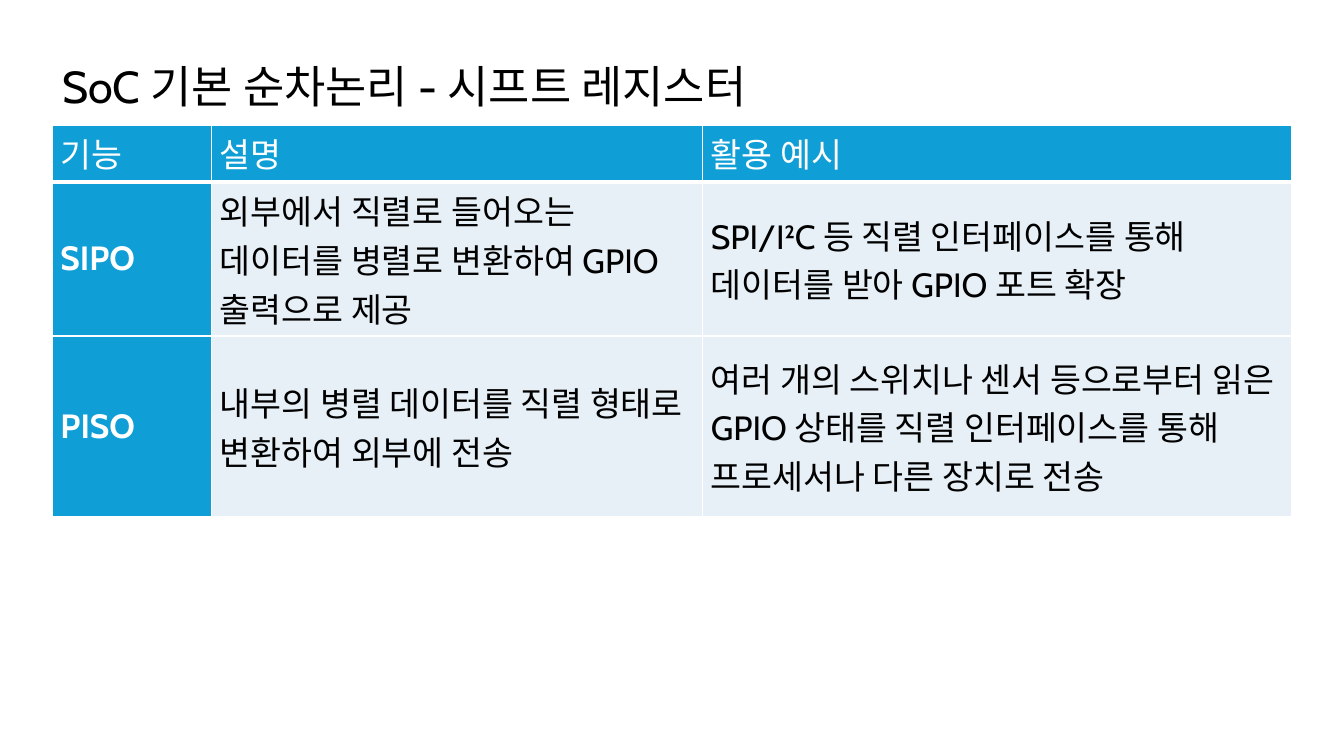
from lxml.etree import SubElement
from pptx import Presentation
from pptx.dml.color import RGBColor
from pptx.enum.text import MSO_ANCHOR, PP_ALIGN
from pptx.oxml.ns import qn
from pptx.util import Inches, Pt

TITLE = "SoC 기본 순차논리 - 시프트 레지스터"
ROWS = [
    ("기능", "설명", "활용 예시"),
    ("SIPO", "외부에서 직렬로 들어오는 데이터를 병렬로 변환하여 GPIO 출력으로 제공",
     "SPI/I²C 등 직렬 인터페이스를 통해 데이터를 받아 GPIO 포트 확장"),
    ("PISO", "내부의 병렬 데이터를 직렬 형태로 변환하여 외부에 전송",
     "여러 개의 스위치나 센서 등으로부터 읽은 GPIO 상태를 직렬 인터페이스를 통해 "
     "프로세서나 다른 장치로 전송"),
]
COLUMN_WIDTHS = (1.58, 4.87, 5.84)
ROW_HEIGHTS = (0.44, 1.48, 1.79)
LEFT, WIDTH = 0.52, 12.28
TITLE_TOP, TITLE_HEIGHT = 0.52, 0.72

FONT = "Cabin"
BLACK = RGBColor(0x00, 0x00, 0x00)
WHITE = RGBColor(0xFF, 0xFF, 0xFF)
BLUE = RGBColor(0x0F, 0x9E, 0xD5)
PALE_BLUE = RGBColor(0xE7, 0xF0, 0xF7)


def style_text(para, size, color, bold=False):
    for span in para.runs:
        span.font.name = FONT
        span.font.size = Pt(size)
        span.font.bold = bold
        span.font.color.rgb = color


def add_borders(cell, widths):
    """Give the cell white borders; widths maps a side (L, R, T, B) to points."""
    properties = cell._tc.get_or_add_tcPr()
    for position, (side, width) in enumerate(widths.items()):
        line = properties.makeelement(qn(f"a:ln{side}"), {"w": str(Pt(width))})
        fill = SubElement(line, qn("a:solidFill"))
        SubElement(fill, qn("a:srgbClr"), val=str(WHITE))
        properties.insert(position, line)


def add_title(page):
    title = page.shapes.title
    title.left, title.top = Inches(LEFT), Inches(TITLE_TOP)
    title.width, title.height = Inches(WIDTH), Inches(TITLE_HEIGHT)
    frame = title.text_frame
    frame.text = TITLE
    frame.vertical_anchor = MSO_ANCHOR.MIDDLE
    para = frame.paragraphs[0]
    para.alignment = PP_ALIGN.LEFT
    para.line_spacing = 0.9
    style_text(para, 32, BLACK)


def add_register_table(page):
    table = page.shapes.add_table(
        len(ROWS), len(COLUMN_WIDTHS), Inches(LEFT), Inches(TITLE_TOP + TITLE_HEIGHT),
        Inches(WIDTH), Inches(sum(ROW_HEIGHTS))).table
    table.first_col = True
    table.horz_banding = False
    for column, width in zip(table.columns, COLUMN_WIDTHS):
        column.width = Inches(width)
    for row, height in zip(table.rows, ROW_HEIGHTS):
        row.height = Inches(height)

    for r, texts in enumerate(ROWS):
        for c, text in enumerate(texts):
            cell = table.cell(r, c)
            cell.text = text
            cell.margin_left = cell.margin_right = Inches(0.08)
            cell.margin_top = cell.margin_bottom = Inches(0.04)
            is_header = r == 0
            is_label = c == 0 and not is_header
            cell.vertical_anchor = MSO_ANCHOR.TOP if is_header else MSO_ANCHOR.MIDDLE
            cell.fill.solid()
            cell.fill.fore_color.rgb = BLUE if is_header or is_label else PALE_BLUE
            style_text(cell.text_frame.paragraphs[0], 24,
                       WHITE if is_header or is_label else BLACK, is_label)
            add_borders(cell, {"L": 1, "R": 1, "T": 3 if r == 1 else 1,
                               "B": 3 if is_header else 1})


def main():
    deck = Presentation()
    deck.slide_width, deck.slide_height = Inches(13.33), Inches(7.5)
    page = deck.slides.add_slide(deck.slide_layouts[5])
    add_title(page)
    add_register_table(page)
    deck.save("out.pptx")


if __name__ == "__main__":
    main()
